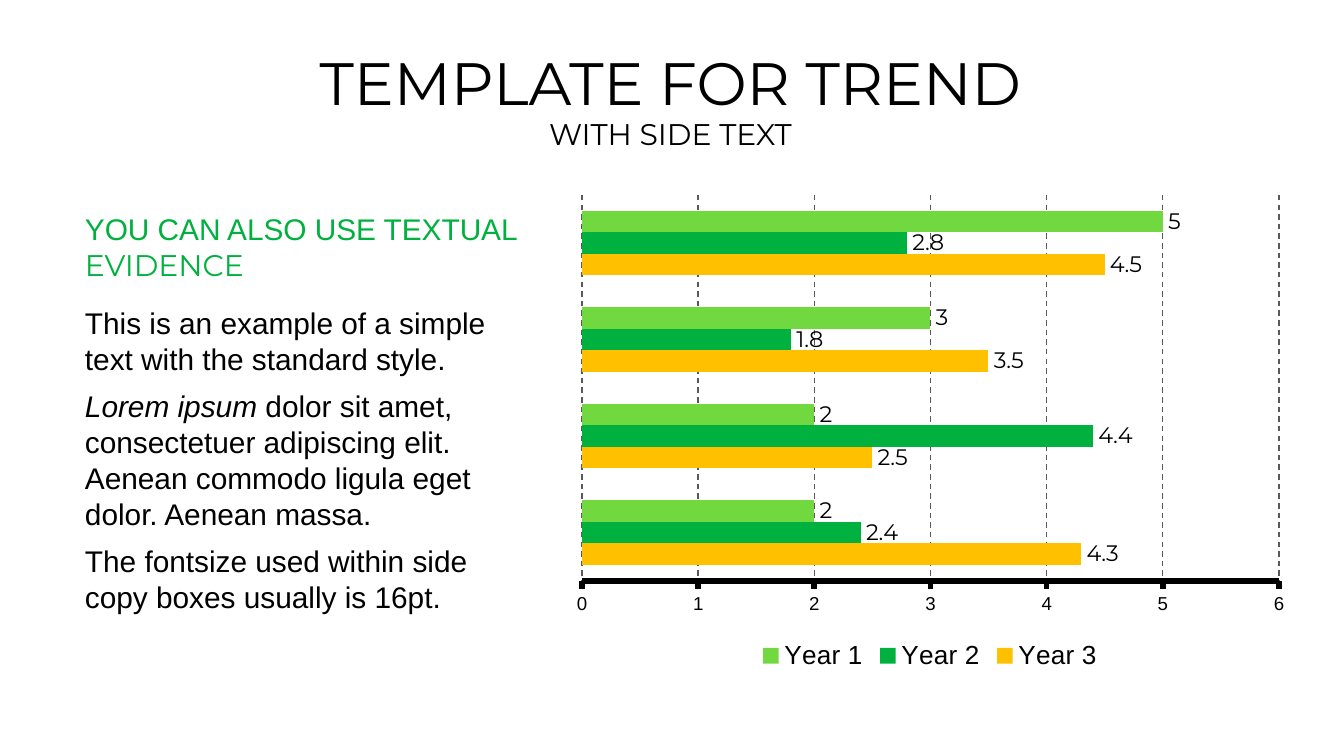
import pptx
import pptx.chart.data
import pptx.dml.color
import pptx.enum.chart
import pptx.enum.dml
import pptx.enum.text
import pptx.oxml
import pptx.oxml.ns
import pptx.util

RGB = pptx.dml.color.RGBColor
BLACK = RGB(0x00, 0x00, 0x00)
GRID_GREY = RGB(0x59, 0x59, 0x59)
HEADING_GREEN = RGB(0x00, 0xB1, 0x3F)
YEAR_1_GREEN = RGB(0x71, 0xD8, 0x3F)
YEAR_2_GREEN = RGB(0x00, 0xB1, 0x40)
YEAR_3_AMBER = RGB(0xFF, 0xC0, 0x00)

BODY_FONT = "Arial"
DISPLAY_FONT = "Montserrat"
EMU_PER_PX = 914400 / 134.4
Pt = pptx.util.Pt
ANCHOR = pptx.enum.text.MSO_ANCHOR
CENTER = pptx.enum.text.PP_ALIGN.CENTER


def px(length):
    return pptx.util.Emu(round(length * EMU_PER_PX))


def apply(target, values):
    for name, value in values.items():
        setattr(target, name, value)


class SlideBuilder:
    def __init__(self, slide):
        self.slide = slide

    def font(self, font, size, name=BODY_FONT, color=BLACK, italic=False):
        apply(font, {"size": Pt(size), "name": name, "italic": italic})
        font.color.rgb = color

    def text(self, box, paragraphs, anchor=ANCHOR.TOP):
        """Each paragraph is (paragraph format, [(text, font format), ...])."""
        frame = self.slide.shapes.add_textbox(*map(px, box)).text_frame
        apply(frame, {"word_wrap": True, "vertical_anchor": anchor,
                      "margin_left": 0, "margin_right": 0,
                      "margin_top": 0, "margin_bottom": 0})
        for index, (layout, runs) in enumerate(paragraphs):
            paragraph = frame.paragraphs[0] if index == 0 else frame.add_paragraph()
            apply(paragraph, layout)
            for words, style in runs:
                run = paragraph.add_run()
                run.text = words
                self.font(run.font, **style)

    def bar_chart(self, box, plot, categories, series):
        data = pptx.chart.data.CategoryChartData()
        data.categories = categories
        for name, values, _ in series:
            data.add_series(name, values)
        chart = self.slide.shapes.add_chart(
            pptx.enum.chart.XL_CHART_TYPE.BAR_CLUSTERED, *map(px, box), data).chart
        self.font(chart.font, 18)
        apply(chart, {"has_title": False, "has_legend": True})
        apply(chart.legend, {"position": pptx.enum.chart.XL_LEGEND_POSITION.BOTTOM,
                             "include_in_layout": False})
        self.font(chart.legend.font, 14)

        # Bars and their values
        apply(chart.plots[0], {"gap_width": 150, "overlap": 0,
                               "vary_by_categories": False})
        for bars, (_, _, color) in zip(chart.plots[0].series, series):
            bars.format.fill.solid()
            bars.format.fill.fore_color.rgb = color
            labels = bars.data_labels
            apply(labels, {"show_value": True,
                           "position": pptx.enum.chart.XL_LABEL_POSITION.OUTSIDE_END})
            self.font(labels.font, 12, DISPLAY_FONT)

        # Axes and grid
        chart.category_axis.visible = False
        axis = chart.value_axis
        apply(axis, {"minimum_scale": 0, "maximum_scale": 6, "major_unit": 1,
                     "has_major_gridlines": True,
                     "major_tick_mark": pptx.enum.chart.XL_TICK_MARK.OUTSIDE})
        self.font(axis.tick_labels.font, 10)
        axis.format.line.color.rgb = BLACK
        axis.format.line.width = Pt(3)
        grid = axis.major_gridlines.format.line
        grid.color.rgb = GRID_GREY
        apply(grid, {"width": Pt(0.75),
                     "dash_style": pptx.enum.dml.MSO_LINE.DASH})
        self.place_plot(chart, box, plot)

    def place_plot(self, chart, box, plot):
        """Fix the inner plot area, given in px on the slide."""
        left, top, width, height = box
        shares = {"x": (plot[0] - left) / width, "y": (plot[1] - top) / height,
                  "w": plot[2] / width, "h": plot[3] / height}
        modes = "".join(f'<c:{side}Mode val="edge"/>' for side in "xy")
        sizes = "".join(f'<c:{side} val="{share:.4f}"/>'
                        for side, share in shares.items())
        layout = pptx.oxml.parse_xml(
            f'<c:layout {pptx.oxml.ns.nsdecls("c")}><c:manualLayout>'
            f'<c:layoutTarget val="inner"/>{modes}{sizes}'
            f'</c:manualLayout></c:layout>')
        area = chart.plots[0]._element.getparent()
        for old in area.findall(pptx.oxml.ns.qn("c:layout")):
            area.remove(old)
        area.insert(0, layout)


def main():
    deck = pptx.Presentation()
    apply(deck, {"slide_width": px(1344), "slide_height": px(756)})
    builder = SlideBuilder(deck.slides.add_slide(deck.slide_layouts[6]))

    # Side text
    heading = {"size": 16, "color": HEADING_GREEN}
    copy_style = {"size": 16}
    spaced = {"space_before": Pt(6)}
    builder.text((85, 211, 439, 439), [
        ({"space_after": Pt(6)}, [
            ("YOU CAN ALSO USE TEXTUAL ", heading),
            ("EVIDENCE", {**heading, "name": DISPLAY_FONT})]),
        (spaced, [("This is an example of a simple text with the standard style.",
                   copy_style)]),
        (spaced, [("Lorem ipsum ", {**copy_style, "italic": True}),
                  ("dolor sit amet, consectetuer adipiscing elit. Aenean commodo "
                   "ligula eget dolor. Aenean massa.", copy_style)]),
        (spaced, [("The fontsize used within side copy boxes usually is 16pt.",
                   copy_style)]),
    ])

    # Title and subtitle
    builder.text((85, 60, 1171, 39), [
        ({"alignment": CENTER, "line_spacing": 0.8},
         [("TEMPLATE FOR TREND", {"size": 32, "name": DISPLAY_FONT})])])
    builder.text((85, 110, 1171, 48), [
        ({"alignment": CENTER},
         [("WITH SIDE TEXT", {"size": 16, "name": DISPLAY_FONT})])], ANCHOR.MIDDLE)

    # Trend chart
    builder.bar_chart((562, 185, 736, 491), (582, 195, 697, 386),
                      ["1", "2", "3", "4"], [
        ("Year 3", (4.3, 2.5, 3.5, 4.5), YEAR_3_AMBER),
        ("Year 2", (2.4, 4.4, 1.8, 2.8), YEAR_2_GREEN),
        ("Year 1", (2, 2, 3, 5), YEAR_1_GREEN),
    ])

    deck.save("out.pptx")


if __name__ == "__main__":
    main()
